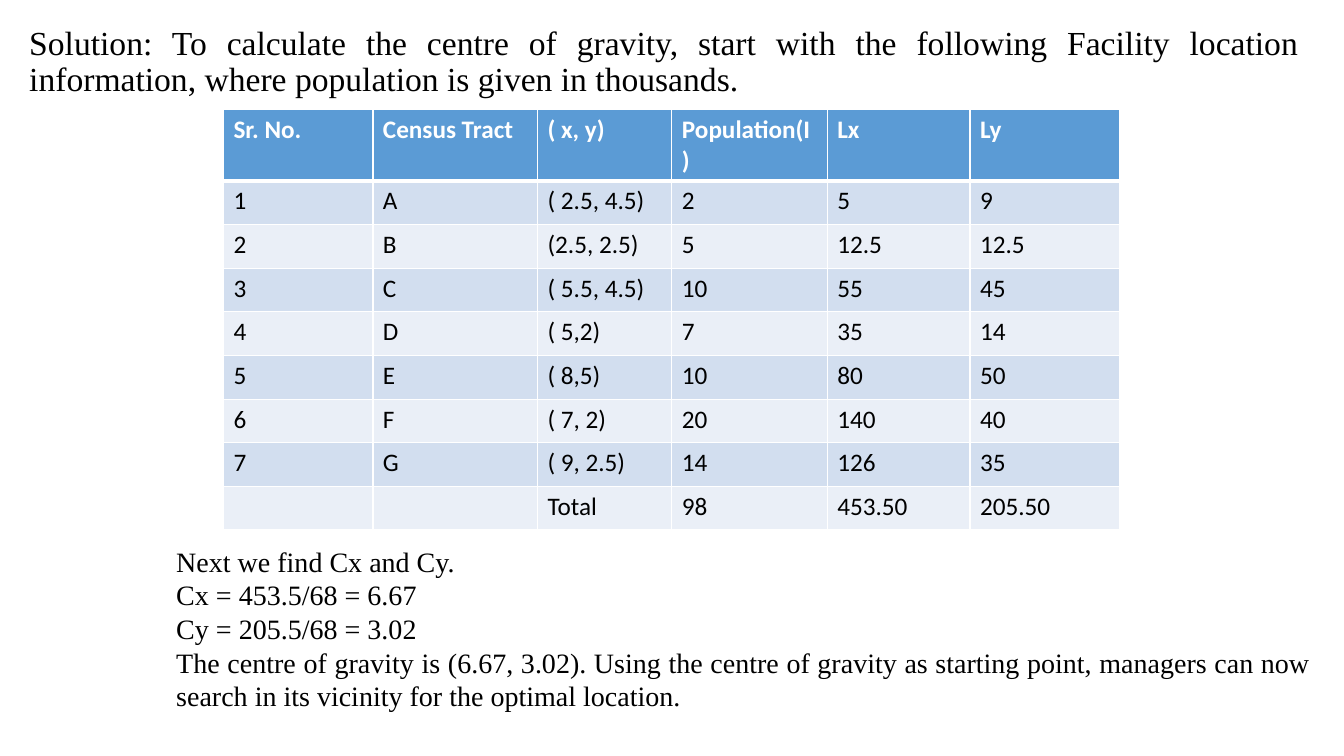
from dataclasses import dataclass

from lxml import etree
from pptx import Presentation
from pptx import util as u
from pptx.dml.color import RGBColor
from pptx.enum import text
from pptx.oxml.ns import qn

PX = 7620  # EMU in one px, 120 px to the inch


@dataclass(frozen=True)
class Theme:
    ink: str = "000000"
    white: str = "FFFFFF"
    header: str = "5B9BD5"
    bands: tuple = ("D2DEEF", "EAEFF7")
    prose_font: str = "Times New Roman"
    table_font: str = "Calibri"
    intro_size: int = 24
    result_size: int = 20
    table_size: int = 18
    thin: int = 1
    thick: int = 3


THEME = Theme()

INTRO = [
    "Solution: To calculate the centre of gravity, start with the following "
    "Facility location information, where population is given in thousands."
]
RESULT = [
    "Next we find Cx and Cy.",
    "Cx = 453.5/68 = 6.67",
    "Cy = 205.5/68 = 3.02",
    "The centre of gravity is (6.67, 3.02). Using the centre of gravity as "
    "starting point, managers can now search in its vicinity for the optimal location.",
]
CENSUS = [
    ("Sr. No.", "Census Tract", "( x, y)", "Population(I)", "Lx", "Ly"),
    ("1", "A", "( 2.5, 4.5)", "2", "5", "9"),
    ("2", "B", "(2.5, 2.5)", "5", "12.5", "12.5"),
    ("3", "C", "( 5.5, 4.5)", "10", "55", "45"),
    ("4", "D", "( 5,2)", "7", "35", "14"),
    ("5", "E", "( 8,5)", "10", "80", "50"),
    ("6", "F", "( 7, 2)", "20", "140", "40"),
    ("7", "G", "( 9, 2.5)", "14", "126", "35"),
    ("", "", "Total", "98", "453.50", "205.50"),
]
COLUMN_WIDTHS = (178, 196, 160, 185, 170, 178)
ROW_HEIGHT = 52


def px(*lengths):
    return [u.Emu(length * PX) for length in lengths]


def style_font(font, name, size, color, bold=False):
    values = {"name": name, "size": u.Pt(size), "bold": bold}
    for attribute, value in values.items():
        setattr(font, attribute, value)
    font.color.rgb = RGBColor.from_string(color)


def add_prose(slide, box, lines, size, spacing=1.0, fit=text.MSO_AUTO_SIZE.NONE):
    """Add a justified text box with one paragraph for each line."""
    frame = slide.shapes.add_textbox(*px(*box)).text_frame
    frame.word_wrap = True
    frame.auto_size = fit
    frame.text = "\n".join(lines)
    layout = {"alignment": text.PP_ALIGN.JUSTIFY, "line_spacing": spacing}
    for paragraph in frame.paragraphs:
        for attribute, value in layout.items():
            setattr(paragraph, attribute, value)
        style_font(paragraph.font, THEME.prose_font, size, THEME.ink)


def add_borders(cell, top, bottom):
    """Draw white cell borders; top and bottom are widths in points."""
    properties = cell._tc.get_or_add_tcPr()
    widths = {"a:lnL": THEME.thin, "a:lnR": THEME.thin, "a:lnT": top, "a:lnB": bottom}
    for edge, width in widths.items():
        line = etree.SubElement(properties, qn(edge), w=str(u.Pt(width)))
        fill = etree.SubElement(line, qn("a:solidFill"))
        etree.SubElement(fill, qn("a:srgbClr"), val=THEME.white)


def fill_cell(cell, content, row):
    is_header = row == 0
    add_borders(
        cell,
        top=THEME.thick if row == 1 else THEME.thin,
        bottom=THEME.thick if is_header else THEME.thin,
    )
    background = THEME.header if is_header else THEME.bands[(row - 1) % 2]
    cell.fill.solid()
    cell.fill.fore_color.rgb = RGBColor.from_string(background)
    cell.text = content
    color = THEME.white if is_header else THEME.ink
    style_font(cell.text_frame.paragraphs[0].font, THEME.table_font,
               THEME.table_size, color, bold=is_header)


def add_census_table(slide, left, top):
    size = sum(COLUMN_WIDTHS), ROW_HEIGHT * len(CENSUS)
    table = slide.shapes.add_table(
        len(CENSUS), len(COLUMN_WIDTHS), *px(left, top, *size)).table
    for column, width in zip(table.columns, px(*COLUMN_WIDTHS)):
        column.width = width
    for row, contents in enumerate(CENSUS):
        table.rows[row].height = u.Emu(ROW_HEIGHT * PX)
        for column, content in enumerate(contents):
            fill_cell(table.cell(row, column), content, row)


def main():
    deck = Presentation()
    deck.slide_width, deck.slide_height = px(1600, 900)
    slide = deck.slides.add_slide(deck.slide_layouts[6])
    add_prose(slide, (23, 25, 1535, 841), INTRO, THEME.intro_size, spacing=0.9)
    add_census_table(slide, 266, 130)
    add_prose(slide, (198, 642, 1374, 214), RESULT, THEME.result_size,
              fit=text.MSO_AUTO_SIZE.SHAPE_TO_FIT_TEXT)
    deck.save("out.pptx")


if __name__ == "__main__":
    main()
